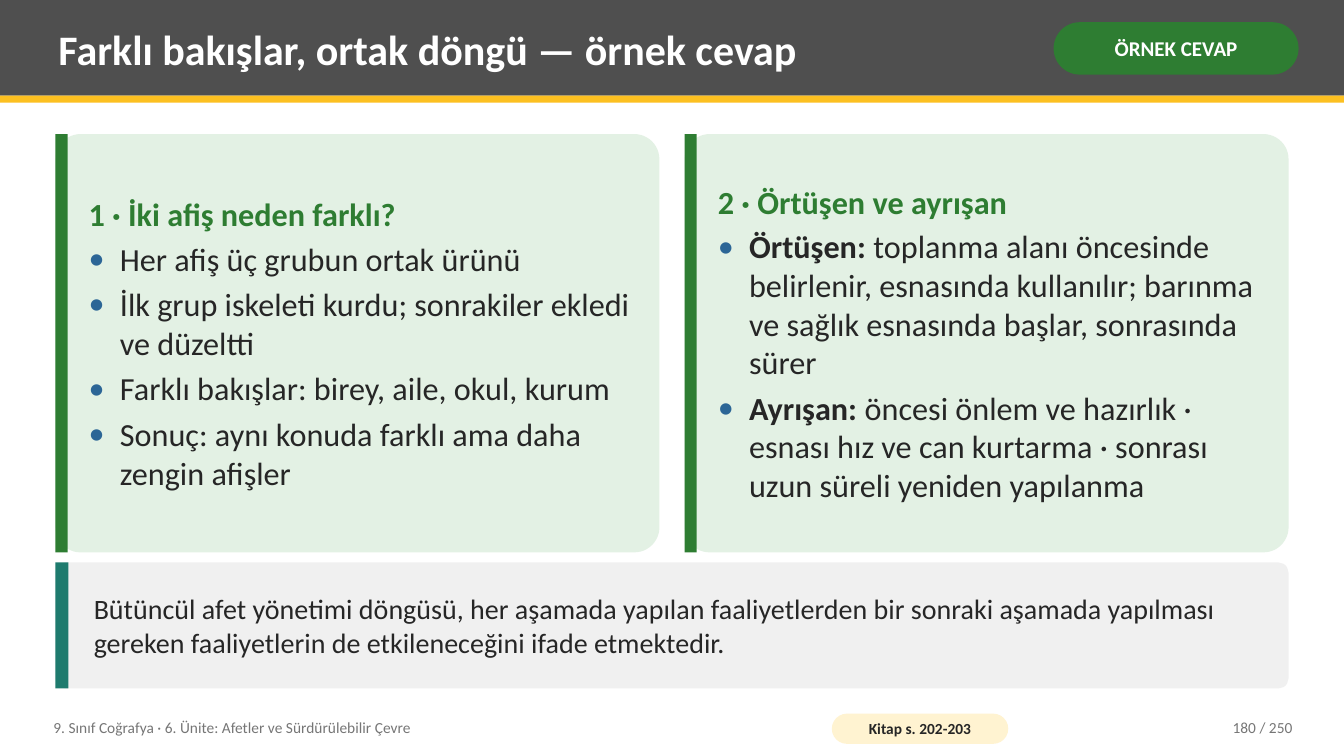
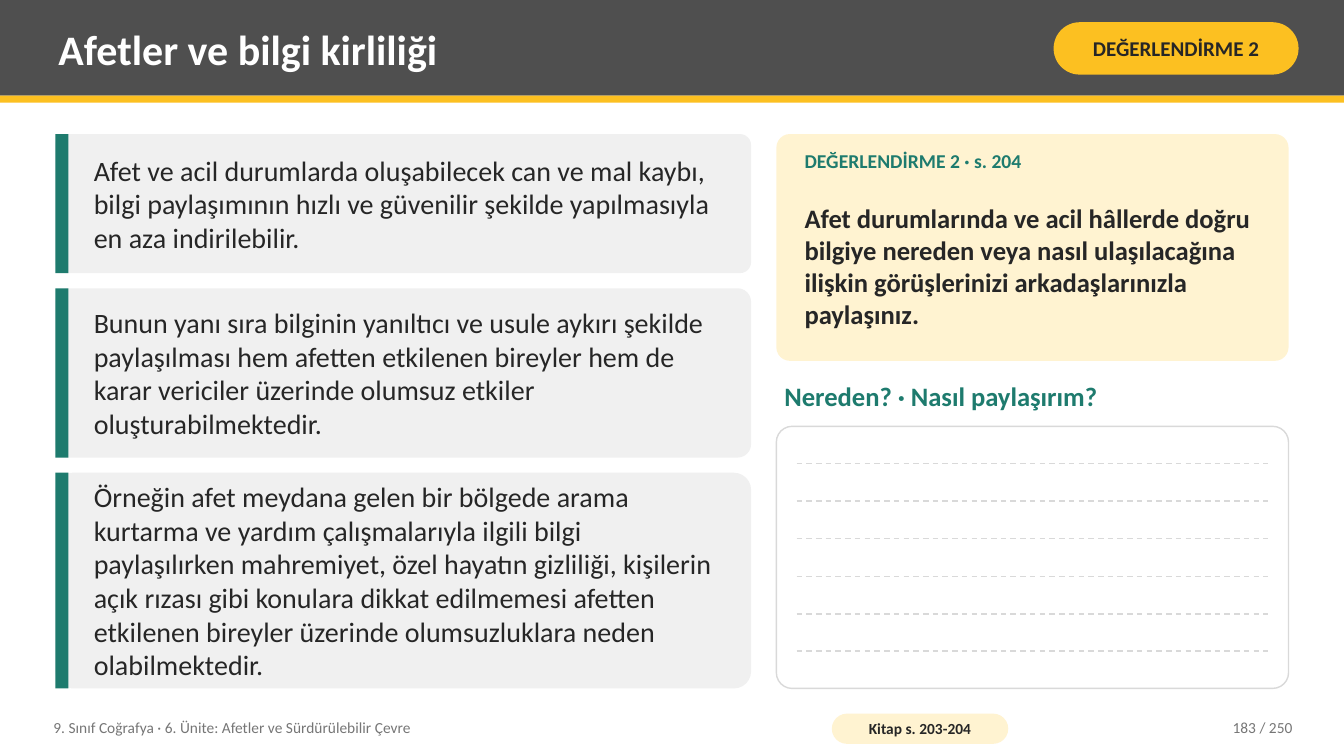
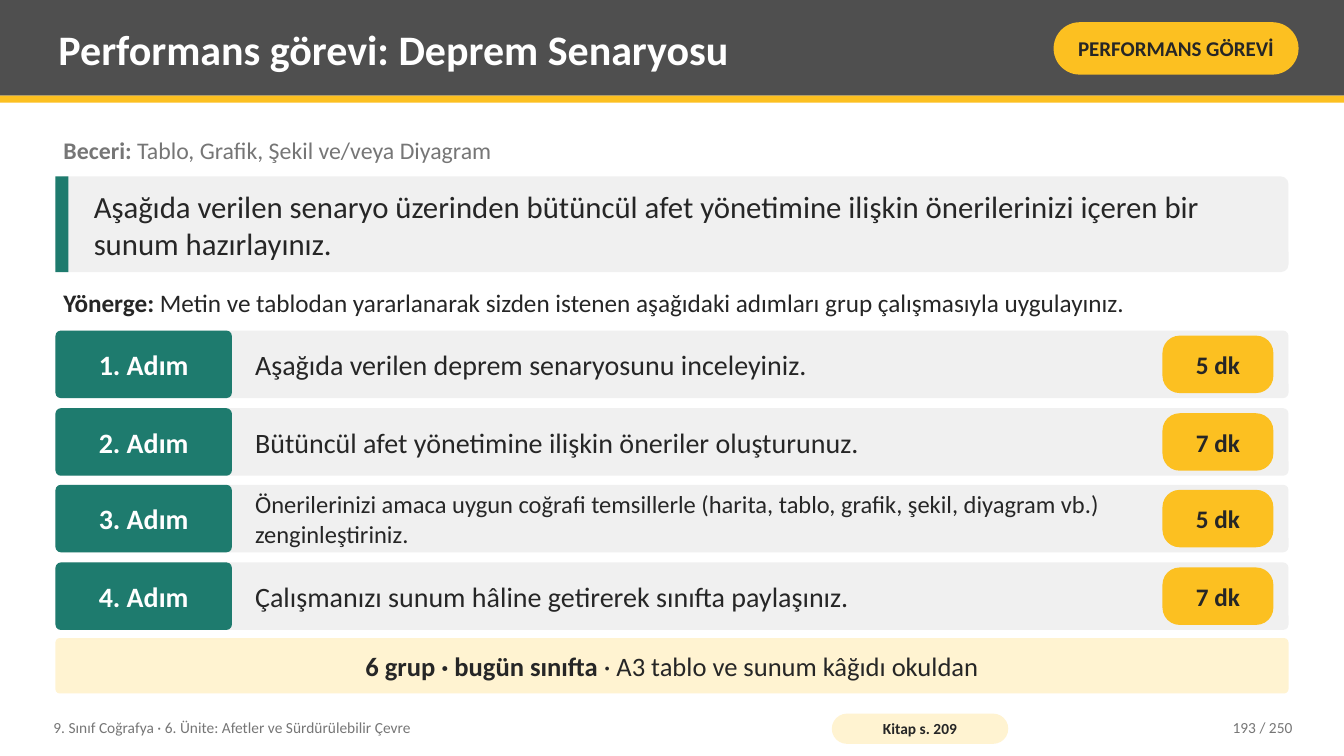
from lxml import etree
from pptx import Presentation
from pptx.dml.color import RGBColor
from pptx.enum.dml import MSO_LINE
from pptx.enum.shapes import MSO_CONNECTOR, MSO_SHAPE
from pptx.enum.text import MSO_ANCHOR, PP_ALIGN
from pptx.oxml.ns import qn
from pptx.util import Pt

RECTANGLE, ROUNDED = MSO_SHAPE.RECTANGLE, MSO_SHAPE.ROUNDED_RECTANGLE
STRAIGHT, DASH = MSO_CONNECTOR.STRAIGHT, MSO_LINE.DASH
TOP, MIDDLE = MSO_ANCHOR.TOP, MSO_ANCHOR.MIDDLE
LEFT, CENTER, RIGHT = PP_ALIGN.LEFT, PP_ALIGN.CENTER, PP_ALIGN.RIGHT

WHITE = RGBColor(0xFF, 0xFF, 0xFF)
INK = RGBColor(0x26, 0x26, 0x26)
CHARCOAL = RGBColor(0x4F, 0x4F, 0x4F)
MUTED = RGBColor(0x76, 0x76, 0x76)
RULE = RGBColor(0xD9, 0xD9, 0xD9)
PANEL = RGBColor(0xF0, 0xF0, 0xF0)
YELLOW = RGBColor(0xFC, 0xC0, 0x21)
CREAM = RGBColor(0xFF, 0xF3, 0xD1)
GREEN = RGBColor(0x2E, 0x7D, 0x32)
MINT = RGBColor(0xE3, 0xF1, 0xE4)
TEAL = RGBColor(0x1E, 0x7B, 0x6E)
BLUE = RGBColor(0x2C, 0x66, 0x96)

FONT = "Calibri"
PX = 9144
WIDTH, HEIGHT = 1333, 750
MARGIN, CONTENT_WIDTH = 55, 1223
TEXT_INSETS = (8, 4, 8, 4)
INDENT = 31
TOTAL_PAGES = 250
UNIT = "9. Sınıf Coğrafya · 6. Ünite: Afetler ve Sürdürülebilir Çevre"


def emu(*lengths):
    return [round(length * PX) for length in lengths]


class Deck:
    def __init__(self):
        self.presentation = Presentation()
        self.presentation.slide_width, self.presentation.slide_height = emu(WIDTH, HEIGHT)
        self.slide = None

    def start(self, title, tag, tag_fill, tag_color, book_pages, page):
        self.slide = self.presentation.slides.add_slide(self.presentation.slide_layouts[6])
        self.box((0, 0, WIDTH, 95), CHARCOAL)
        self.box((0, 95, WIDTH, 7), YELLOW)
        self.text((50, 7, 975, 82), title, 30, WHITE, bold=True)
        self.label((1045, 22, 243, 52), tag, 15, tag_fill, tag_color, 0.5, (5, 2, 5, 2))
        self.text((45, 704, 760, 36), UNIT, 11, MUTED)
        self.label((825, 708, 175, 30), f"Kitap s. {book_pages}", 11, CREAM, INK, 0.5, (4, 0, 4, 0))
        self.text((1130, 704, 160, 36), f"{page} / {TOTAL_PAGES}", 11, MUTED, align=RIGHT)

    def box(self, area, fill, radius=None, outline=None):
        kind = RECTANGLE if radius is None else ROUNDED
        shape = self.slide.shapes.add_shape(kind, *emu(*area))
        shape.shadow.inherit = False
        shape.fill.solid()
        shape.fill.fore_color.rgb = fill
        if radius is not None:
            shape.adjustments[0] = radius
        if outline is None:
            shape.line.fill.background()
        else:
            shape.line.color.rgb = outline
            shape.line.width = Pt(1)
        return shape

    def frame(self, shape, insets, anchor):
        frame = shape.text_frame
        left, top, right, bottom = emu(*insets)
        settings = {"word_wrap": True, "vertical_anchor": anchor, "margin_left": left,
                    "margin_top": top, "margin_right": right, "margin_bottom": bottom}
        for name, value in settings.items():
            setattr(frame, name, value)
        return frame

    def add_words(self, paragraph, content, size, color, bold=False, align=LEFT):
        paragraph.alignment = align
        if isinstance(content, str):
            runs = [(content, bold)]
        else:
            lead, rest = content
            runs = [(lead, True), (rest, False)]
        for words, weight in runs:
            run = paragraph.add_run()
            run.text = words
            settings = {"name": FONT, "size": Pt(size), "bold": weight}
            for name, value in settings.items():
                setattr(run.font, name, value)
            run.font.color.rgb = color

    def text(self, area, content, size, color, bold=False, align=LEFT, anchor=MIDDLE):
        shape = self.slide.shapes.add_textbox(*emu(*area))
        frame = self.frame(shape, TEXT_INSETS, anchor)
        self.add_words(frame.paragraphs[0], content, size, color, bold, align)
        return frame

    def label(self, area, content, size, fill, color, radius, insets):
        frame = self.frame(self.box(area, fill, radius), insets, MIDDLE)
        self.add_words(frame.paragraphs[0], content, size, color, True, CENTER)

    def bullet(self, paragraph):
        properties = paragraph._p.get_or_add_pPr()
        indent, = emu(INDENT)
        properties.set("marL", str(indent))
        properties.set("indent", str(-indent))
        bullet_color = etree.SubElement(properties, qn("a:buClr"))
        etree.SubElement(bullet_color, qn("a:srgbClr"), val=str(BLUE))
        etree.SubElement(properties, qn("a:buFont"), typeface=FONT)
        etree.SubElement(properties, qn("a:buChar"), char="•")

    def answer_card(self, area, heading, points):
        left, top, width, height = area
        self.box(area, MINT, 0.06)
        self.box((left, top, 12, height), GREEN)
        frame = self.text((left + 25, top + 6, width - 35, height - 12), heading, 23, GREEN, bold=True)
        frame.paragraphs[0].space_after = Pt(4)
        for point in points:
            paragraph = frame.add_paragraph()
            self.bullet(paragraph)
            self.add_words(paragraph, point, 23, INK)
            if point is not points[-1]:
                paragraph.space_after = Pt(5)

    def note(self, area, content, size=20):
        left, top, width, height = area
        self.box(area, PANEL, 0.08)
        self.box((left, top, 13, height), TEAL)
        self.text((left + 30, top, width - 45, height), content, size, INK)

    def writing_area(self, area, line_count):
        left, top, width, height = area
        self.box(area, WHITE, 0.06, RULE)
        for number in range(1, line_count + 1):
            y = round(top + height * number / (line_count + 1))
            connector = self.slide.shapes.add_connector(
                STRAIGHT, *emu(left + 20, y, left + width - 20, y))
            connector.line.color.rgb = RULE
            connector.line.width = Pt(1)
            connector.line.dash_style = DASH
            etree.SubElement(connector._element.spPr, qn("a:effectLst"))

    def step(self, top, number, task, size, minutes):
        height = 67
        self.box((MARGIN, top, CONTENT_WIDTH, height), PANEL, 0.08)
        self.label((MARGIN, top, 175, height), f"{number}. Adım", 20, TEAL, WHITE, 0.08, (6, 8, 6, 8))
        self.text((245, top, 888, height), task, size, INK)
        self.label((1153, top + 5, 110, height - 10), f"{minutes} dk", 18, YELLOW, INK, 0.3, (3, 0, 3, 0))


def sample_answer(deck):
    deck.start("Farklı bakışlar, ortak döngü — örnek cevap", "ÖRNEK CEVAP", GREEN, WHITE, "202-203", 180)
    cards = [
        ("1 · İki afiş neden farklı?", [
            "Her afiş üç grubun ortak ürünü",
            "İlk grup iskeleti kurdu; sonrakiler ekledi ve düzeltti",
            "Farklı bakışlar: birey, aile, okul, kurum",
            "Sonuç: aynı konuda farklı ama daha zengin afişler",
        ]),
        ("2 · Örtüşen ve ayrışan", [
            ("Örtüşen:", " toplanma alanı öncesinde belirlenir, esnasında kullanılır; "
                         "barınma ve sağlık esnasında başlar, sonrasında sürer"),
            ("Ayrışan:", " öncesi önlem ve hazırlık · esnası hız ve can kurtarma · "
                         "sonrası uzun süreli yeniden yapılanma"),
        ]),
    ]
    for column, (heading, points) in enumerate(cards):
        deck.answer_card((MARGIN + column * 624, 133, 599, 415), heading, points)
    deck.note((MARGIN, 558, CONTENT_WIDTH, 125),
              "Bütüncül afet yönetimi döngüsü, her aşamada yapılan faaliyetlerden bir sonraki "
              "aşamada yapılması gereken faaliyetlerin de etkileneceğini ifade etmektedir.")


def misinformation(deck):
    deck.start("Afetler ve bilgi kirliliği", "DEĞERLENDİRME 2", YELLOW, INK, "203-204", 183)
    notes = [
        (138, "Afet ve acil durumlarda oluşabilecek can ve mal kaybı, bilgi paylaşımının hızlı ve "
              "güvenilir şekilde yapılmasıyla en aza indirilebilir."),
        (168, "Bunun yanı sıra bilginin yanıltıcı ve usule aykırı şekilde paylaşılması hem afetten "
              "etkilenen bireyler hem de karar vericiler üzerinde olumsuz etkiler oluşturabilmektedir."),
        (214, "Örneğin afet meydana gelen bir bölgede arama kurtarma ve yardım çalışmalarıyla ilgili "
              "bilgi paylaşılırken mahremiyet, özel hayatın gizliliği, kişilerin açık rızası gibi "
              "konulara dikkat edilmemesi afetten etkilenen bireyler üzerinde olumsuzluklara neden "
              "olabilmektedir."),
    ]
    top = 133
    for height, content in notes:
        deck.note((MARGIN, top, 690, height), content)
        top += height + 15
    deck.box((770, 133, 508, 225), CREAM, 0.06)
    deck.text((790, 141, 468, 36), "DEĞERLENDİRME 2 · s. 204", 14, TEAL, bold=True)
    deck.text((790, 179, 468, 169),
              "Afet durumlarında ve acil hâllerde doğru bilgiye nereden veya nasıl ulaşılacağına "
              "ilişkin görüşlerinizi arkadaşlarınızla paylaşınız.", 19, INK, bold=True)
    deck.text((770, 373, 508, 45), "Nereden? · Nasıl paylaşırım?", 19, TEAL, bold=True, anchor=TOP)
    deck.writing_area((770, 423, 508, 260), 6)


def performance_task(deck):
    deck.start("Performans görevi: Deprem Senaryosu", "PERFORMANS GÖREVİ", YELLOW, INK, "209", 193)
    deck.text((MARGIN, 128, CONTENT_WIDTH, 42),
              ("Beceri:", " Tablo, Grafik, Şekil ve/veya Diyagram"), 17, MUTED)
    deck.note((MARGIN, 175, CONTENT_WIDTH, 95),
              "Aşağıda verilen senaryo üzerinden bütüncül afet yönetimine ilişkin önerilerinizi "
              "içeren bir sunum hazırlayınız.", 22)
    deck.text((MARGIN, 278, CONTENT_WIDTH, 45),
              ("Yönerge:", " Metin ve tablodan yararlanarak sizden istenen aşağıdaki adımları "
                           "grup çalışmasıyla uygulayınız."), 18, INK)
    steps = [
        ("Aşağıda verilen deprem senaryosunu inceleyiniz.", 20, 5),
        ("Bütüncül afet yönetimine ilişkin öneriler oluşturunuz.", 20, 7),
        ("Önerilerinizi amaca uygun coğrafi temsillerle (harita, tablo, grafik, şekil, diyagram vb.) "
         "zenginleştiriniz.", 17.5, 5),
        ("Çalışmanızı sunum hâline getirerek sınıfta paylaşınız.", 20, 7),
    ]
    for index, (task, size, minutes) in enumerate(steps):
        deck.step(round(328 + index * 230 / 3), index + 1, task, size, minutes)
    deck.label((MARGIN, 633, CONTENT_WIDTH, 55),
               ("6 grup · bugün sınıfta", " · A3 tablo ve sunum kâğıdı okuldan"),
               19, CREAM, INK, 0.08, (22, 8, 22, 8))


def main():
    deck = Deck()
    sample_answer(deck)
    misinformation(deck)
    performance_task(deck)
    deck.presentation.save("out.pptx")


if __name__ == "__main__":
    main()
